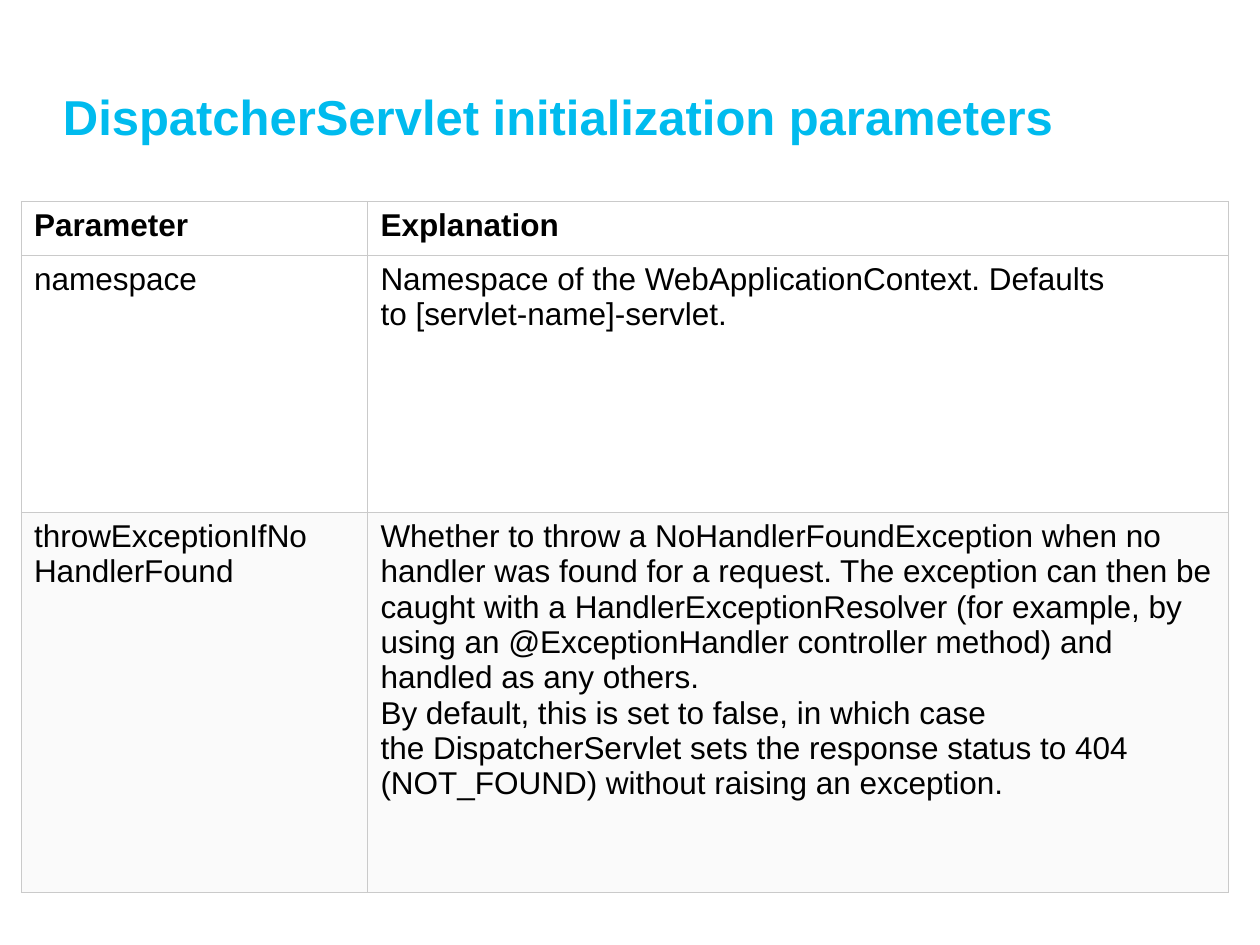
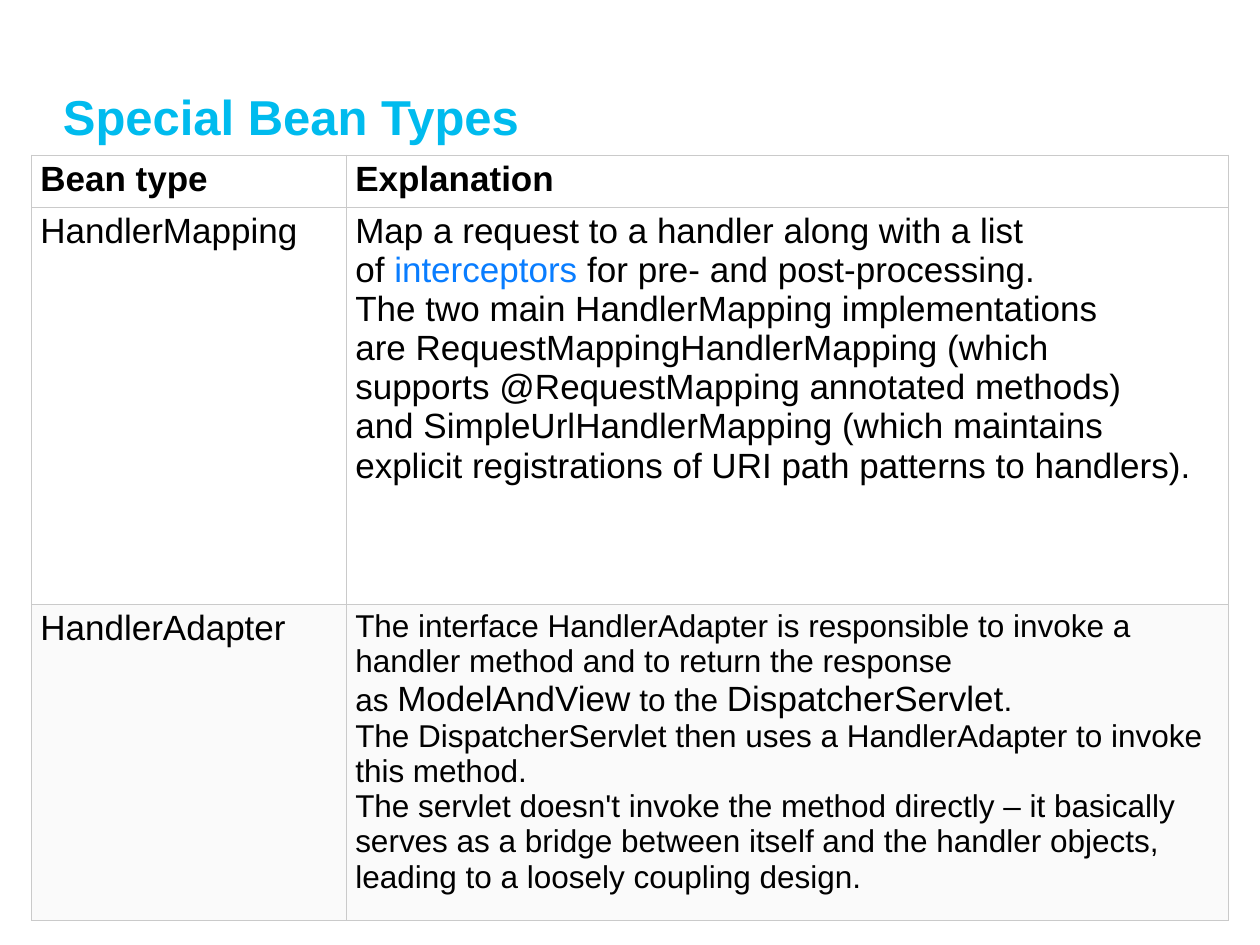
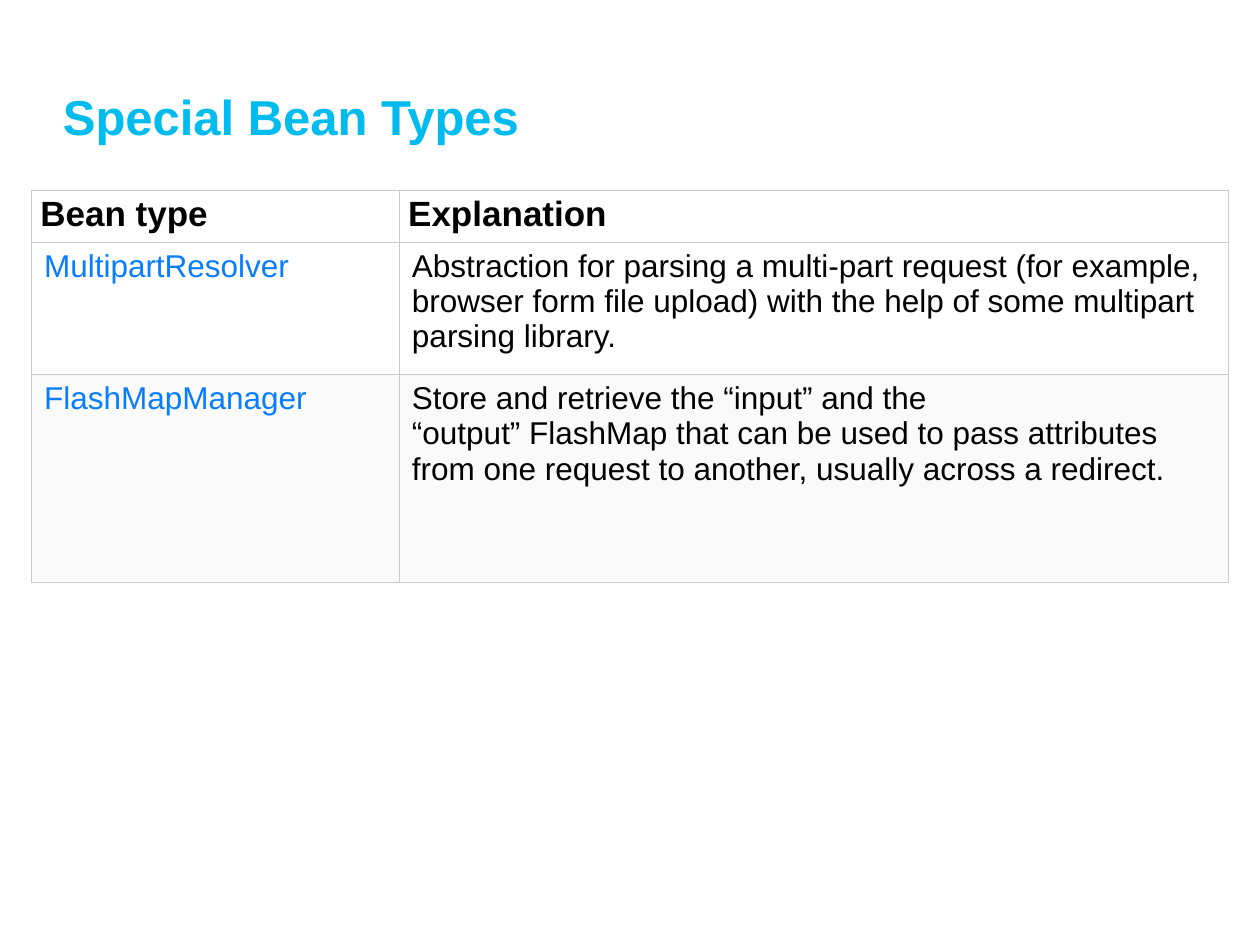
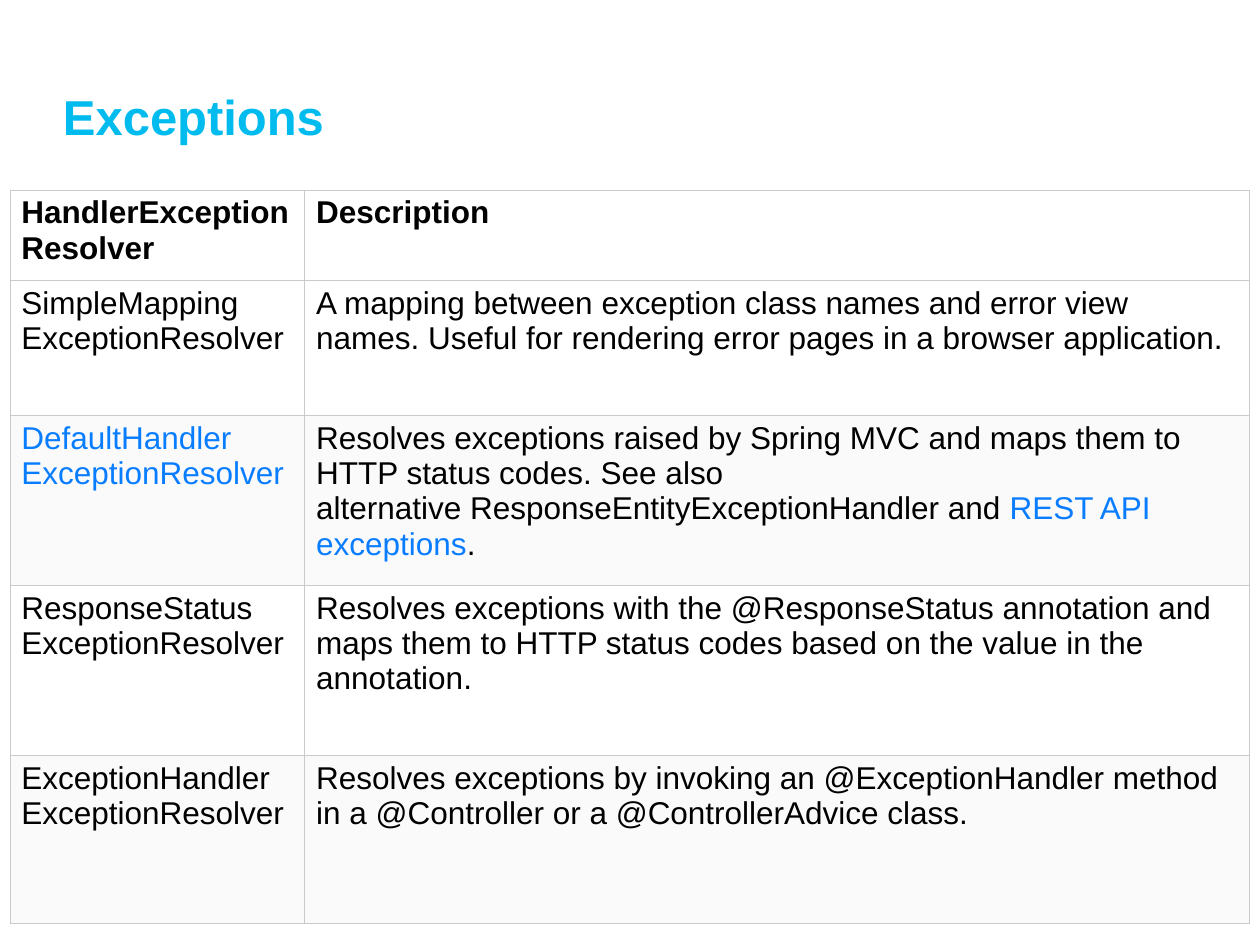
from dataclasses import dataclass
from typing import NamedTuple, Optional

from lxml.etree import SubElement
from pptx import Presentation
from pptx.dml.color import RGBColor
from pptx.enum.text import MSO_ANCHOR
from pptx.oxml.ns import qn
from pptx.util import Inches, Pt

TITLE_BLUE = RGBColor(0x00, 0xBB, 0xEE)
LINK_BLUE = RGBColor(0x09, 0x7D, 0xFF)
BLACK = RGBColor(0x00, 0x00, 0x00)
WHITE = RGBColor(0xFF, 0xFF, 0xFF)
STRIPE = RGBColor(0xFA, 0xFA, 0xFA)
BORDER = RGBColor(0xCA, 0xCA, 0xCA)
BORDER_WIDTH = Pt(0.6)
FONT = "Arial"
TIE = "~"
NO_BREAK_SPACE = chr(160)


class Span(NamedTuple):
    text: str
    color: Optional[RGBColor] = None
    size: Optional[float] = None


class Inset(NamedTuple):
    side: float
    end: float


@dataclass(frozen=True)
class Entry:
    paragraphs: tuple[tuple[Span, ...], ...]
    size: Optional[float] = None
    color: RGBColor = BLACK


class CellStyle(NamedTuple):
    size: float
    inset: Inset
    bold: bool = False


@dataclass(frozen=True)
class TableSlide:
    title: str
    left: float
    top: float
    widths: tuple[float, ...]
    heights: tuple[float, ...]
    header: CellStyle
    body: CellStyle
    rows: tuple[tuple[Entry, ...], ...]


def entry(*texts: str, color: RGBColor = BLACK) -> Entry:
    return Entry(tuple((Span(text),) for text in texts), color=color)


WIDE = Inset(0.1, 0.05)
NARROW = Inset(0.07, 0.04)
MEDIUM = Inset(0.09, 0.04)

SLIDES = (
    TableSlide(
        "DispatcherServlet initialization parameters",
        0.17, 1.6, (2.75, 6.83), (0.43, 2.04, 3.01),
        CellStyle(18, WIDE, True), CellStyle(18, WIDE),
        (
            (entry("Parameter"), entry("Explanation")),
            (
                entry("namespace"),
                entry("Namespace of the~WebApplicationContext. Defaults to~[servlet-name]-servlet."),
            ),
            (
                entry("throwExceptionIfNo HandlerFound"),
                entry(
                    "Whether to throw a~NoHandlerFoundException~when no handler was found for a request. "
                    "The exception can then be caught with a~HandlerExceptionResolver~(for example, by "
                    "using an~@ExceptionHandler~controller method) and handled as any others.",
                    "By default, this is set to~false, in which case the~DispatcherServlet~sets the "
                    "response status to 404 (NOT_FOUND) without raising an exception.",
                ),
            ),
        ),
    ),
    TableSlide(
        "Special Bean Types",
        0.25, 1.23, (2.5, 7), (0.29, 3.15, 1.83),
        CellStyle(20, NARROW, True), CellStyle(20, NARROW),
        (
            (entry("Bean type"), entry("Explanation")),
            (
                entry("HandlerMapping"),
                Entry((
                    (
                        Span("Map a request to a handler along with a list of~"),
                        Span("interceptors", LINK_BLUE),
                        Span("~for pre- and post-processing."),
                    ),
                    (
                        Span(
                            "The two main~HandlerMapping~implementations are~RequestMappingHandlerMapping~"
                            "(which supports~@RequestMapping~annotated methods) and~"
                            "SimpleUrlHandlerMapping~(which maintains explicit registrations of URI path "
                            "patterns to handlers)."
                        ),
                    ),
                )),
            ),
            (
                entry("HandlerAdapter"),
                Entry(
                    (
                        (
                            Span(
                                "The interface~HandlerAdapter~is responsible to invoke a handler method "
                                "and to return the response as~"
                            ),
                            Span("ModelAndView", size=20),
                            Span("~to the~"),
                            Span("DispatcherServlet", size=20),
                            Span("."),
                        ),
                        (Span("The DispatcherServlet then uses a HandlerAdapter to invoke this method."),),
                        (
                            Span(
                                "The servlet doesn't invoke the method directly – it basically serves as a "
                                "bridge between itself and the handler objects, leading to a loosely "
                                "coupling design."
                            ),
                        ),
                    ),
                    size=18,
                ),
            ),
        ),
    ),
    TableSlide(
        "Special Bean Types",
        0.25, 1.51, (2.92, 6.58), (0.37, 1.05, 1.65),
        CellStyle(20, NARROW, True), CellStyle(18, WIDE),
        (
            (entry("Bean type"), entry("Explanation")),
            (
                entry("MultipartResolver", color=LINK_BLUE),
                entry(
                    "Abstraction for parsing a multi-part request (for example, browser form file upload) "
                    "with the help of some multipart parsing library."
                ),
            ),
            (
                entry("FlashMapManager", color=LINK_BLUE),
                entry(
                    "Store and retrieve the “input” and the “output”~FlashMap~that can be used to pass "
                    "attributes from one request to another, usually across a redirect."
                ),
            ),
        ),
    ),
    TableSlide(
        "Exceptions",
        0.08, 1.51, (2.34, 7.5), (0.72, 1.07, 1.35, 1.35, 1.33),
        CellStyle(18, MEDIUM, True), CellStyle(18, MEDIUM),
        (
            (entry("HandlerExceptionResolver"), entry("Description")),
            (
                entry("SimpleMapping ExceptionResolver"),
                entry(
                    "A mapping between exception class names and error view names. Useful for rendering "
                    "error pages in a browser application."
                ),
            ),
            (
                entry("DefaultHandler ExceptionResolver", color=LINK_BLUE),
                Entry((
                    (
                        Span(
                            "Resolves exceptions raised by Spring MVC and maps them to HTTP status codes. "
                            "See also alternative~ResponseEntityExceptionHandler~and~"
                        ),
                        Span("REST API exceptions", LINK_BLUE),
                        Span("."),
                    ),
                )),
            ),
            (
                entry("ResponseStatus ExceptionResolver"),
                entry(
                    "Resolves exceptions with the~@ResponseStatus~annotation and maps them to HTTP status "
                    "codes based on the value in the annotation."
                ),
            ),
            (
                entry("ExceptionHandler ExceptionResolver"),
                entry(
                    "Resolves exceptions by invoking an~@ExceptionHandler~method in a~@Controller~or a~"
                    "@ControllerAdvice~class."
                ),
            ),
        ),
    ),
)


def set_font(font, size: float, color: RGBColor, bold: bool) -> None:
    font.name = FONT
    font.size = Pt(size)
    font.color.rgb = color
    font.bold = bold


def add_title(page, text: str) -> None:
    box = page.shapes.add_textbox(Inches(0.5), Inches(0.2), Inches(9), Inches(0.95))
    frame = box.text_frame
    frame.word_wrap = True
    frame.vertical_anchor = MSO_ANCHOR.BOTTOM
    frame.margin_left = frame.margin_right = frame.margin_top = frame.margin_bottom = Inches(0)
    para = frame.paragraphs[0]
    para.text = text
    para.line_spacing = Pt(26)
    set_font(para.font, 28, TITLE_BLUE, True)


def add_borders(cell) -> None:
    properties = cell._tc.get_or_add_tcPr()
    for position, side in enumerate(("lnL", "lnR", "lnT", "lnB")):
        line = SubElement(properties, qn(f"a:{side}"), w=str(BORDER_WIDTH))
        fill = SubElement(line, qn("a:solidFill"))
        SubElement(fill, qn("a:srgbClr"), val=str(BORDER))
        properties.insert(position, line)


def fill_cell(cell, content: Entry, style: CellStyle, background: RGBColor) -> None:
    cell.margin_left = cell.margin_right = Inches(style.inset.side)
    cell.margin_top = cell.margin_bottom = Inches(style.inset.end)
    cell.fill.solid()
    cell.fill.fore_color.rgb = background
    add_borders(cell)
    frame = cell.text_frame
    for index, spans in enumerate(content.paragraphs):
        para = frame.add_paragraph() if index else frame.paragraphs[0]
        set_font(para.font, content.size or style.size, content.color, style.bold)
        for span in spans:
            run = para.add_run()
            run.text = span.text.replace(TIE, NO_BREAK_SPACE)
            run.font.name = FONT
            if span.color is not None:
                run.font.color.rgb = span.color
            if span.size is not None:
                run.font.size = Pt(span.size)


def add_grid(page, layout: TableSlide) -> None:
    table = page.shapes.add_table(
        len(layout.heights), len(layout.widths),
        Inches(layout.left), Inches(layout.top),
        Inches(sum(layout.widths)), Inches(sum(layout.heights)),
    ).table
    table.horz_banding = False
    for column, width in zip(table.columns, layout.widths):
        column.width = Inches(width)
    for index, (row, height, entries) in enumerate(zip(table.rows, layout.heights, layout.rows)):
        row.height = Inches(height)
        style = layout.body if index else layout.header
        background = STRIPE if index and index % 2 == 0 else WHITE
        for cell, content in zip(row.cells, entries):
            fill_cell(cell, content, style, background)


def main() -> None:
    deck = Presentation()
    deck.slide_width = Inches(10)
    deck.slide_height = Inches(7.5)
    for layout in SLIDES:
        page = deck.slides.add_slide(deck.slide_layouts[6])
        add_title(page, layout.title)
        add_grid(page, layout)
    deck.save("out.pptx")


if __name__ == "__main__":
    main()
